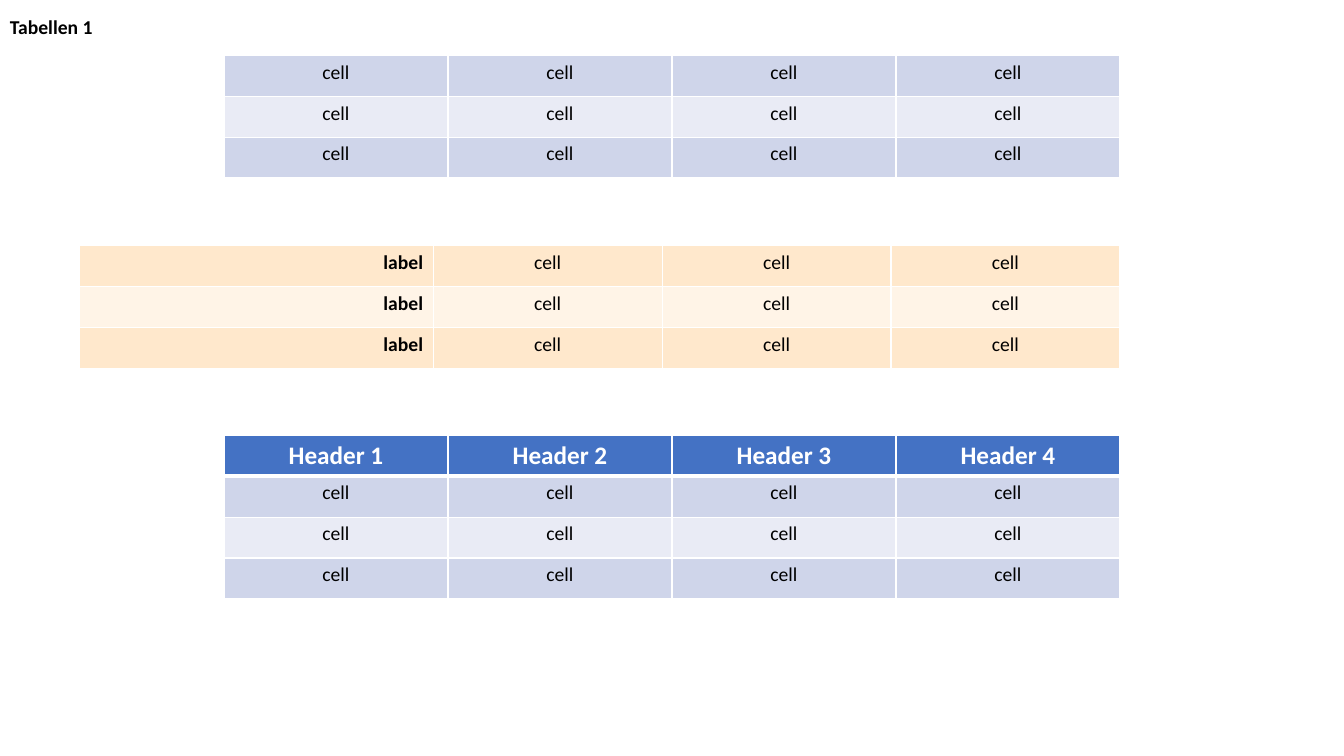
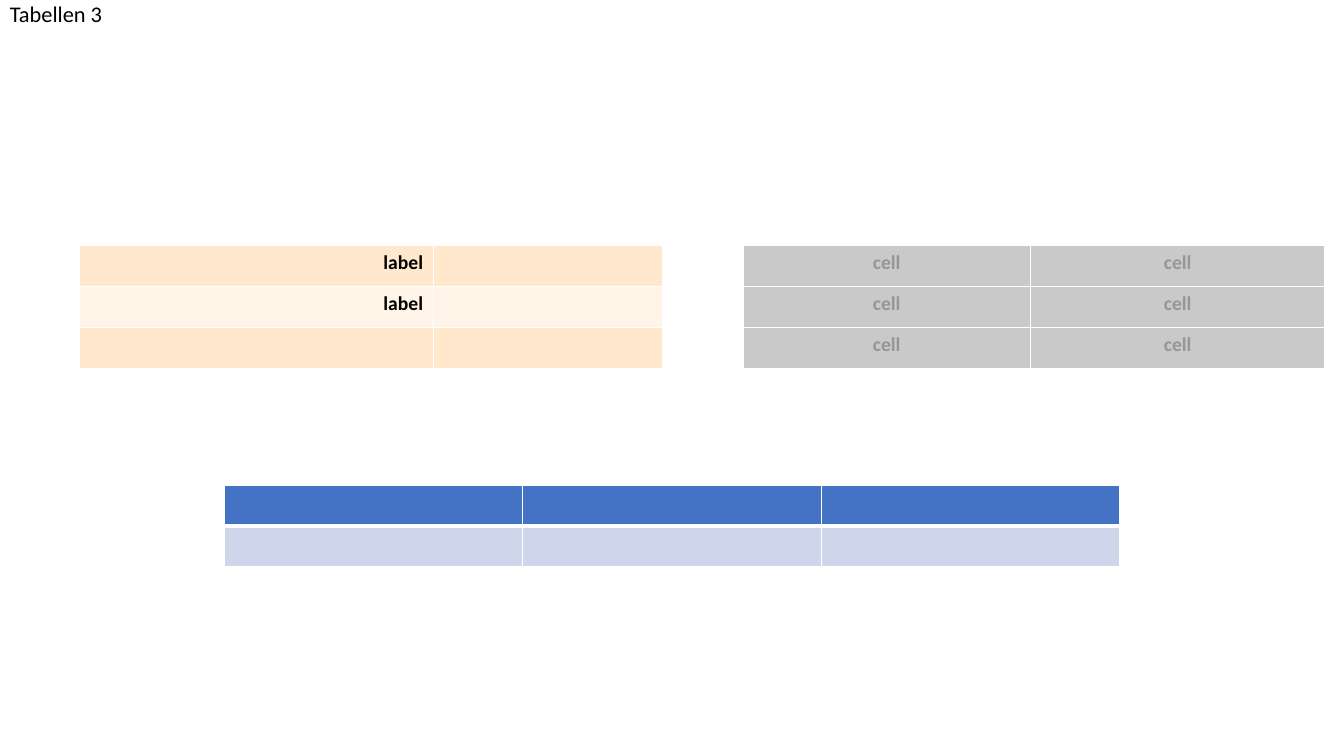
"""Build two slides of banded sample tables."""
from dataclasses import dataclass

from lxml import etree
from pptx import Presentation
from pptx import util as u
from pptx.dml.color import RGBColor
from pptx.enum import text as t
from pptx.oxml import ns

COLORS = {
    "black": "000000", "white": "FFFFFF", "header": "4472C4",
    "blue": "CFD5EA", "pale_blue": "E9EBF5",
    "orange": "FFE8CC", "pale_orange": "FFF4E7",
    "gray": "C9C9C9", "muted": "979696",
}
FONT = "Calibri"
ROW_HEIGHT = 29.2
BLUE_BANDS = ("blue", "pale_blue")
ORANGE_BANDS = ("orange", "pale_orange")
MAIN_LEFT, MAIN_WIDTH = 160, 640
LABEL_LEFT, LABEL_WIDTH, VALUE_WIDTH = 57, 252.5, 163.5
MIDDLE_TOP = 175.6


@dataclass(frozen=True)
class TextStyle:
    size: float = 14
    bold: bool = False
    color: str = "black"
    align: t.PP_ALIGN = t.PP_ALIGN.CENTER


BODY = TextStyle()
LABEL = TextStyle(bold=True, align=t.PP_ALIGN.RIGHT)
HEADER = TextStyle(18, True, "white")
MUTED = TextStyle(bold=True, color="muted")


@dataclass(frozen=True)
class Title:
    text: str
    top: float
    height: float
    style: TextStyle


@dataclass(frozen=True)
class Grid:
    left: float
    top: float
    widths: list[float]
    rows: list[list[str]]
    bands: tuple[str, ...] = BLUE_BANDS
    has_header: bool = False
    first_column: TextStyle = BODY
    body: TextStyle = BODY


def equal_widths(count: int) -> list[float]:
    return [MAIN_WIDTH / count] * count


CELL_ROWS = [["cell"] * 4] * 3
LABEL_ROWS = [["label"] + ["cell"] * 3] * 3
HEADER_ROW = [f"Header {number}" for number in range(1, 5)]

SLIDES = [
    (Title("Tabellen 1", 2.2, 35.2, TextStyle(14, True, align=t.PP_ALIGN.LEFT)), [
        Grid(MAIN_LEFT, 39.6, equal_widths(4), CELL_ROWS),
        Grid(MAIN_LEFT, 311, equal_widths(4), [HEADER_ROW] + CELL_ROWS, has_header=True),
        Grid(LABEL_LEFT, MIDDLE_TOP, [LABEL_WIDTH] + [VALUE_WIDTH] * 3, LABEL_ROWS,
             ORANGE_BANDS, first_column=LABEL),
    ]),
    (Title("Tabellen 3", 0, 21.6, TextStyle(16, align=t.PP_ALIGN.LEFT)), [
        Grid(LABEL_LEFT, MIDDLE_TOP, [LABEL_WIDTH, VALUE_WIDTH],
             [["label", ""], ["label", ""], ["", ""]], ORANGE_BANDS, first_column=LABEL),
        Grid(530.8, MIDDLE_TOP, [205.2, 210.5], [["cell"] * 2] * 3, ("gray",),
             first_column=MUTED, body=MUTED),
        Grid(MAIN_LEFT, 346.6, equal_widths(3), [[""] * 3] * 2, has_header=True),
    ]),
]


def rgb(name: str) -> RGBColor:
    return RGBColor.from_string(COLORS[name])


def write_text(paragraph, words: str, style: TextStyle) -> None:
    paragraph.alignment = style.align
    run = paragraph.add_run()
    run.text = words
    for attribute, value in {"name": FONT, "size": u.Pt(style.size), "bold": style.bold}.items():
        setattr(run.font, attribute, value)
    run.font.color.rgb = rgb(style.color)


def add_title(slide, title: Title) -> None:
    frame = slide.shapes.add_textbox(0, u.Pt(title.top), u.Pt(828), u.Pt(title.height)).text_frame
    frame.word_wrap = True
    frame.vertical_anchor = t.MSO_ANCHOR.MIDDLE
    frame.paragraphs[0].line_spacing = 0.9
    write_text(frame.paragraphs[0], title.text, title.style)


def add_borders(cell, top: float, bottom: float) -> None:
    properties = cell._tc.get_or_add_tcPr()
    for side, width in {"L": 1, "R": 1, "T": top, "B": bottom}.items():
        line = etree.SubElement(properties, ns.qn(f"a:ln{side}"), w=str(u.Pt(width)))
        fill = etree.SubElement(line, ns.qn("a:solidFill"))
        etree.SubElement(fill, ns.qn("a:srgbClr"), val=COLORS["white"])


def add_grid(slide, grid: Grid) -> None:
    table = slide.shapes.add_table(
        len(grid.rows), len(grid.widths), u.Pt(grid.left), u.Pt(grid.top),
        u.Pt(sum(grid.widths)), u.Pt(ROW_HEIGHT * len(grid.rows))).table
    for attribute, value in {"first_row": grid.has_header, "horz_banding": False}.items():
        setattr(table, attribute, value)
    for column, width in zip(table.columns, grid.widths):
        column.width = u.Pt(width)
    for row_index, words_in_row in enumerate(grid.rows):
        table.rows[row_index].height = u.Pt(ROW_HEIGHT)
        body_index = row_index - grid.has_header
        is_header = body_index < 0
        fill = "header" if is_header else grid.bands[body_index % len(grid.bands)]
        top = 3 if grid.has_header and body_index == 0 else 1
        for column_index, words in enumerate(words_in_row):
            cell = table.cell(row_index, column_index)
            add_borders(cell, top, 3 if is_header else 1)
            cell.fill.solid()
            cell.fill.fore_color.rgb = rgb(fill)
            if words:
                body_style = grid.body if column_index else grid.first_column
                write_text(cell.text_frame.paragraphs[0], words,
                           HEADER if is_header else body_style)


def main() -> None:
    deck = Presentation()
    deck.slide_width, deck.slide_height = u.Pt(960), u.Pt(540)
    for title, grids in SLIDES:
        slide = deck.slides.add_slide(deck.slide_layouts[6])
        add_title(slide, title)
        for grid in grids:
            add_grid(slide, grid)
    deck.save("out.pptx")


if __name__ == "__main__":
    main()
